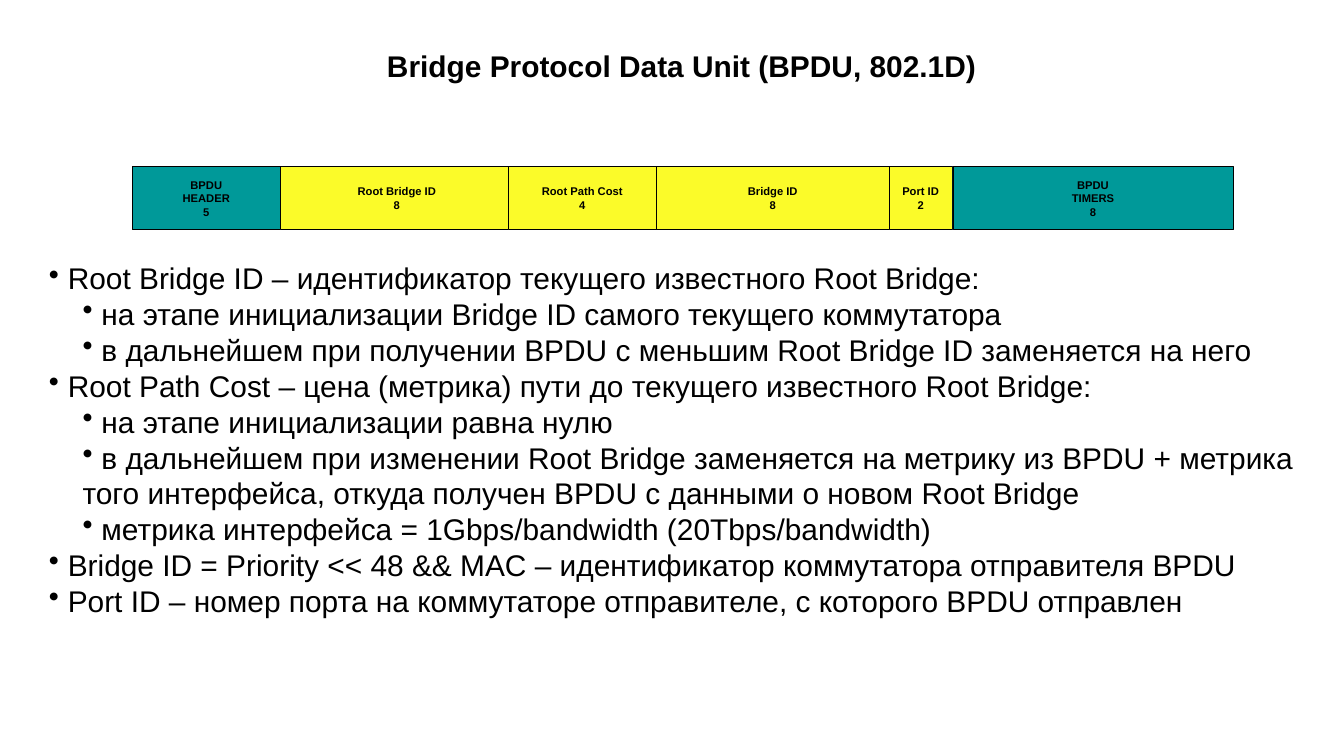
import lxml.etree
import pptx
import pptx.dml.color
import pptx.enum.shapes
import pptx.enum.text
import pptx.oxml.ns
import pptx.util

Inches = pptx.util.Inches
BLACK = pptx.dml.color.RGBColor(0x00, 0x00, 0x00)
TEAL = pptx.dml.color.RGBColor(0x00, 0x99, 0x99)
YELLOW = pptx.dml.color.RGBColor(0xFB, 0xFB, 0x29)

TITLE = "Bridge Protocol Data Unit (BPDU, 802.1D)"
FIELDS = [
    (0, 2.2, TEAL, ["BPDU", "HEADER", "5"]),
    (2.2, 3.47, YELLOW, ["Root Bridge ID", "8"]),
    (5.59, 2.21, YELLOW, ["Root Path Cost", "4"]),
    (7.8, 3.46, YELLOW, ["Bridge ID", "8"]),
    (11.26, 0.94, YELLOW, ["Port ID", "2"]),
    (12.21, 4.17, TEAL, ["BPDU", "TIMERS", "8"]),
]
NOTES = [
    (0, " Root Bridge ID – идентификатор текущего известного Root Bridge:"),
    (1, " на этапе инициализации Bridge ID самого текущего коммутатора"),
    (1, " в дальнейшем при получении BPDU с меньшим Root Bridge ID заменяется на него"),
    (0, " Root Path Cost – цена (метрика) пути до текущего известного Root Bridge:"),
    (1, " на этапе инициализации равна нулю"),
    (1, " в дальнейшем при изменении Root Bridge заменяется на метрику из BPDU + метрика "
        "того интерфейса, откуда получен BPDU с данными о новом Root Bridge"),
    (1, " метрика интерфейса = 1Gbps/bandwidth (20Tbps/bandwidth)"),
    (0, " Bridge ID = Priority << 48 && MAC – идентификатор коммутатора отправителя BPDU"),
    (0, " Port ID – номер порта на коммутаторе отправителе, с которого BPDU отправлен"),
]


def add_run(paragraph, text, size, bold=False):
    """Append a black Arial run to the paragraph."""
    run = paragraph.add_run()
    run.text = text
    run.font.name = "Arial"
    run.font.size = pptx.util.Pt(size)
    run.font.bold = bold
    run.font.color.rgb = BLACK


def next_paragraph(frame, index):
    """Return the first paragraph of the frame, or a new one after it."""
    return frame.add_paragraph() if index else frame.paragraphs[0]


def add_bullet(paragraph, level):
    """Give the paragraph a black round bullet at its level."""
    paragraph.level = level
    properties = paragraph._p.get_or_add_pPr()
    properties.set("marL", str(Inches(0.5 * level)))
    properties.set("indent", "0")
    qn = pptx.oxml.ns.qn
    colour = lxml.etree.SubElement(properties, qn("a:buClr"))
    lxml.etree.SubElement(colour, qn("a:srgbClr"), val=str(BLACK))
    lxml.etree.SubElement(properties, qn("a:buChar"), char="•")


def add_title(slide, left, top, width, height):
    """Place the slide title in the given box."""
    frame = slide.shapes.add_textbox(left, top, width, height).text_frame
    frame.word_wrap = False
    frame.auto_size = pptx.enum.text.MSO_AUTO_SIZE.SHAPE_TO_FIT_TEXT
    add_run(frame.paragraphs[0], TITLE, 32, bold=True)


def add_packet(slide, left, top, height):
    """Place the row of BPDU fields with their sizes in bytes."""
    for offset, width, colour, lines in FIELDS:
        field = slide.shapes.add_shape(
            pptx.enum.shapes.MSO_SHAPE.RECTANGLE,
            left + Inches(offset), top, Inches(width), height)
        field.shadow.inherit = False
        field.fill.solid()
        field.fill.fore_color.rgb = colour
        field.line.color.rgb = BLACK
        field.line.width = pptx.util.Pt(0.75)
        frame = field.text_frame
        frame.word_wrap = False
        frame.vertical_anchor = pptx.enum.text.MSO_ANCHOR.MIDDLE
        for index, line in enumerate(lines):
            paragraph = next_paragraph(frame, index)
            paragraph.alignment = pptx.enum.text.PP_ALIGN.CENTER
            add_run(paragraph, line, 12, bold=True)


def add_notes(slide, left, top, width, height):
    """Place the bulleted explanation of the fields in the given box."""
    frame = slide.shapes.add_textbox(left, top, width, height).text_frame
    frame.word_wrap = True
    frame.auto_size = pptx.enum.text.MSO_AUTO_SIZE.SHAPE_TO_FIT_TEXT
    for index, (level, text) in enumerate(NOTES):
        paragraph = next_paragraph(frame, index)
        add_bullet(paragraph, level)
        add_run(paragraph, text, 32)


def main():
    """Build the BPDU slide and save it."""
    presentation = pptx.Presentation()
    presentation.slide_width = Inches(20)
    presentation.slide_height = Inches(11.25)
    slide = presentation.slides.add_slide(presentation.slide_layouts[6])
    add_title(slide, Inches(5.66), Inches(0.66), Inches(8.98), Inches(0.64))
    add_packet(slide, Inches(1.97), Inches(2.48), Inches(0.94))
    add_notes(slide, Inches(0.63), Inches(3.82), Inches(18.77), Inches(5.44))
    presentation.save("out.pptx")


if __name__ == "__main__":
    main()
